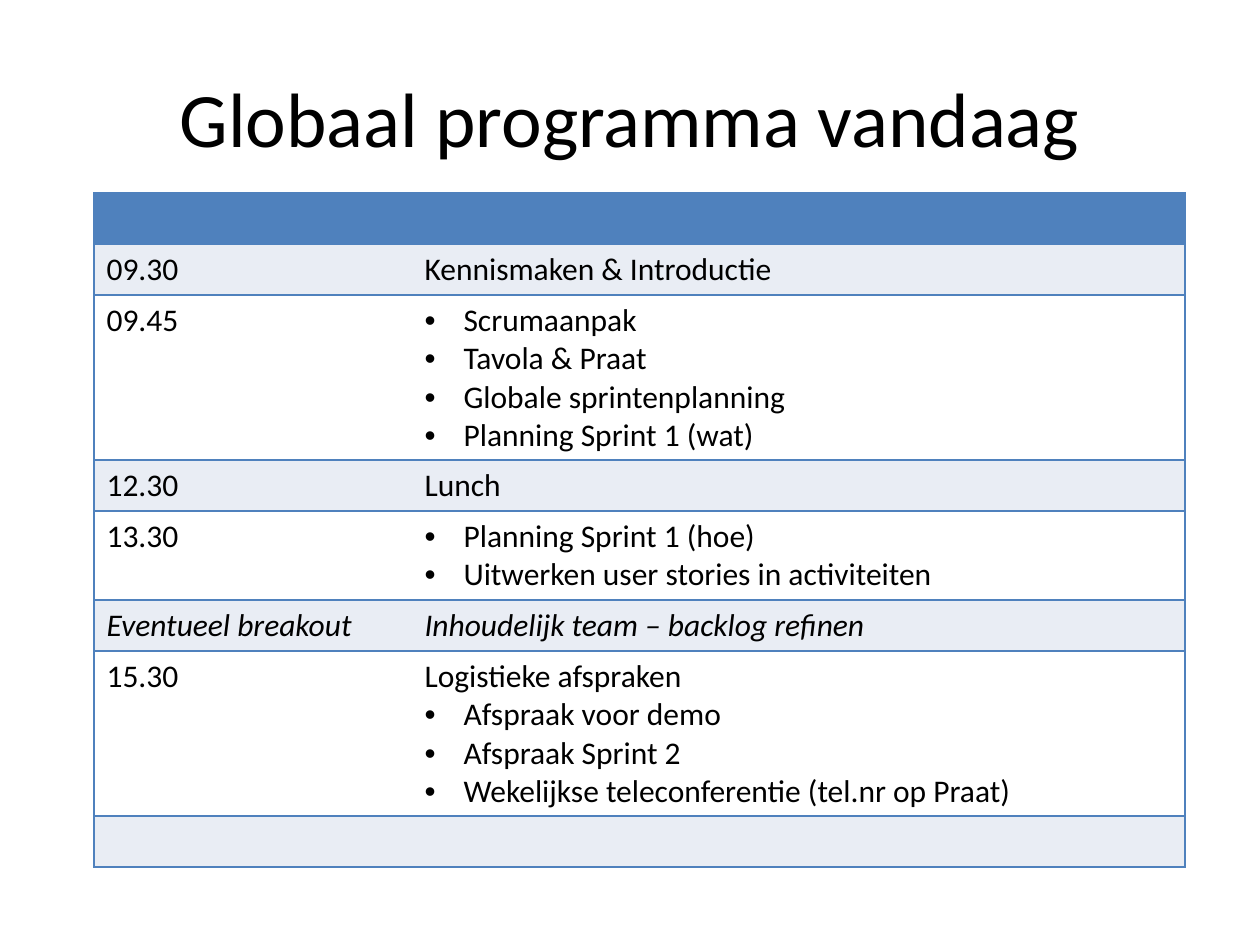
import pptx
import pptx.dml.color
import pptx.enum.text
import pptx.oxml
import pptx.oxml.ns
import pptx.util

SCALE = 914400 / 126
BLUE, PALE, WHITE, BLACK = "4F81BD", "E9EDF4", "FFFFFF", "000000"
FONT = "Calibri"
ROW, LINE, INDENT = 51, 38, 39
BULLET = "• "

ROWS = [
    ("", [""]),
    ("09.30", ["Kennismaken & Introductie"]),
    ("09.45", ["• Scrumaanpak", "• Tavola & Praat",
               "• Globale sprintenplanning", "• Planning Sprint 1 (wat)"]),
    ("12.30", ["Lunch"]),
    ("13.30", ["• Planning Sprint 1 (hoe)",
               "• Uitwerken user stories in activiteiten"]),
    ("Eventueel breakout", ["Inhoudelijk team – backlog refinen"]),
    ("15.30", ["Logistieke afspraken", "• Afspraak voor demo",
               "• Afspraak Sprint 2",
               "• Wekelijkse teleconferentie (tel.nr op Praat)"]),
    ("", [""]),
]


def px(n):
    return pptx.util.Emu(round(n * SCALE))


def color(code):
    return pptx.dml.color.RGBColor.from_string(code)


def style(para, size, slant=False):
    font = para.font
    font.name, font.size, font.italic = FONT, pptx.util.Pt(size), slant
    font.bold = False
    font.color.rgb = color(BLACK)


def node(xml):
    space = pptx.oxml.ns.nsdecls("a")
    return pptx.oxml.parse_xml(xml.replace(">", f" {space}>", 1))


def bullet(para):
    props = para._p.get_or_add_pPr()
    props.set("marL", str(px(INDENT)))
    props.set("indent", str(-px(INDENT)))
    mark = node('<a:buFont typeface="Arial"></a:buFont>')
    sign = node('<a:buChar char="•"></a:buChar>')
    props.insert(0, mark)
    props.insert(1, sign)


def border(cell, sides):
    props = cell._tc.get_or_add_tcPr()
    for spot, side in enumerate("LRTB"):
        paint = "<a:noFill/>"
        if side in sides:
            paint = f'<a:solidFill><a:srgbClr val="{BLUE}"/></a:solidFill>'
        line = node(f'<a:ln{side} w="12700">{paint}</a:ln{side}>')
        props.insert(spot, line)


def write(cell, lines, slant):
    frame = cell.text_frame
    for pos, text in enumerate(lines):
        para = frame.add_paragraph() if pos else frame.paragraphs[0]
        para.text = text.removeprefix(BULLET)
        style(para, 18, slant)
        if text.startswith(BULLET):
            bullet(para)


def title(slide, x, y, w, h):
    frame = slide.shapes.add_textbox(px(x), px(y), px(w), px(h)).text_frame
    frame.word_wrap = True
    frame.vertical_anchor = pptx.enum.text.MSO_ANCHOR.MIDDLE
    para = frame.paragraphs[0]
    para.text = "Globaal programma vandaag"
    para.alignment = pptx.enum.text.PP_ALIGN.CENTER
    style(para, 44)


def agenda(slide, x, y, w, first):
    highs = [ROW + LINE * (len(lines) - 1) for _, lines in ROWS]
    shape = slide.shapes.add_table(
        len(ROWS), 2, px(x), px(y), px(w), px(sum(highs)))
    table = shape.table
    table.first_row = table.horz_banding = False
    for col, wide in zip(table.columns, (first, w - first)):
        col.width = px(wide)
    for num, (time, lines) in enumerate(ROWS):
        table.rows[num].height = px(highs[num])
        fill = BLUE if num == 0 else (PALE if num % 2 else WHITE)
        slant = time.startswith("Eventueel")
        for col, (part, sides) in enumerate((([time], "LTB"), (lines, "RTB"))):
            cell = table.cell(num, col)
            cell.fill.solid()
            cell.fill.fore_color.rgb = color(fill)
            border(cell, sides)
            write(cell, part, slant)


def main():
    deck = pptx.Presentation()
    deck.slide_width, deck.slide_height = px(1260), px(945)
    slide = deck.slides.add_slide(deck.slide_layouts[6])
    title(slide, 63, 38, 1134, 157)
    agenda(slide, 94, 193, 1091, 318)
    deck.save("out.pptx")


if __name__ == "__main__":
    main()
